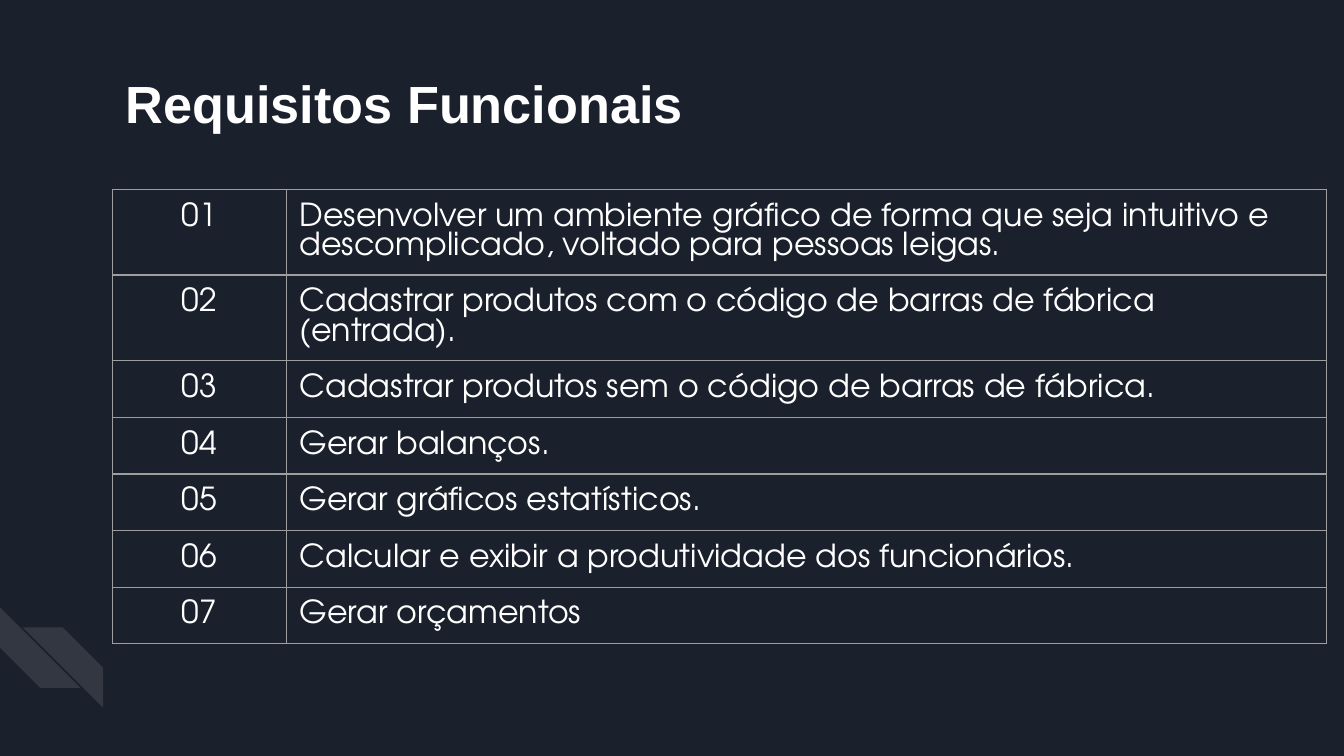
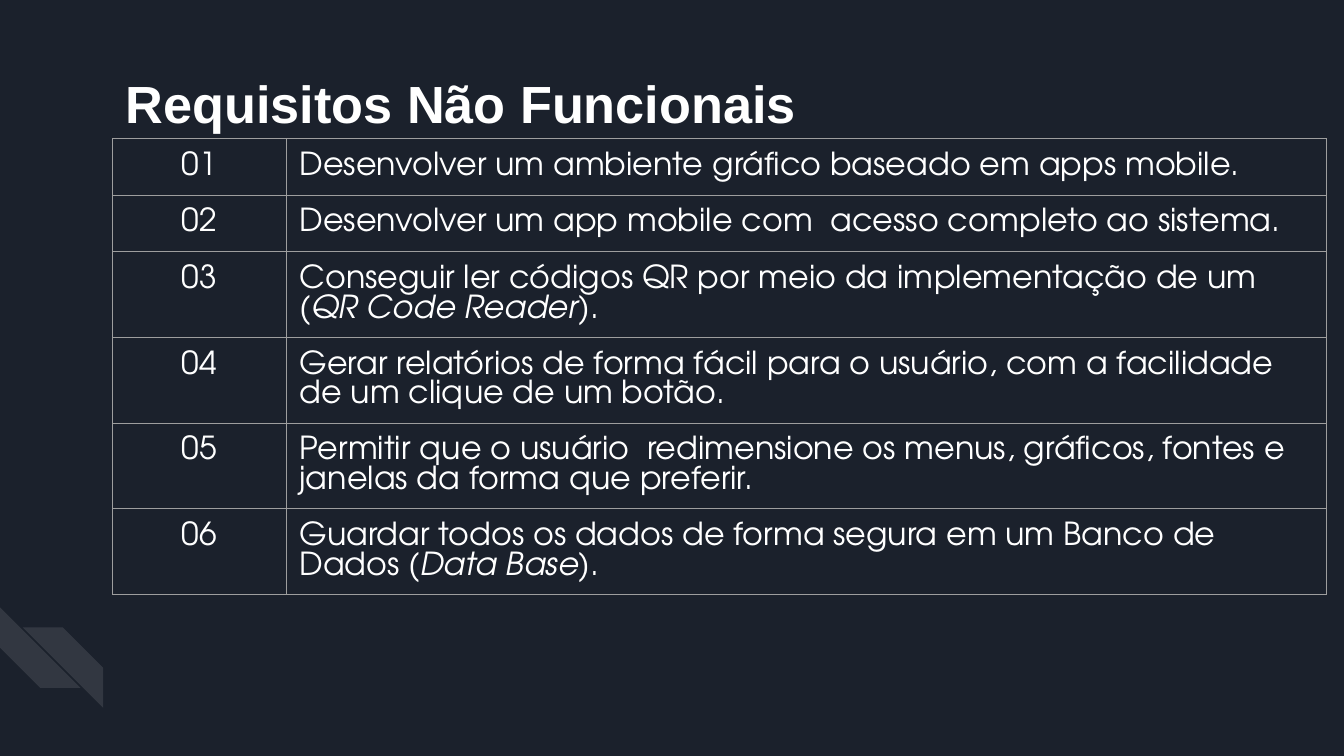
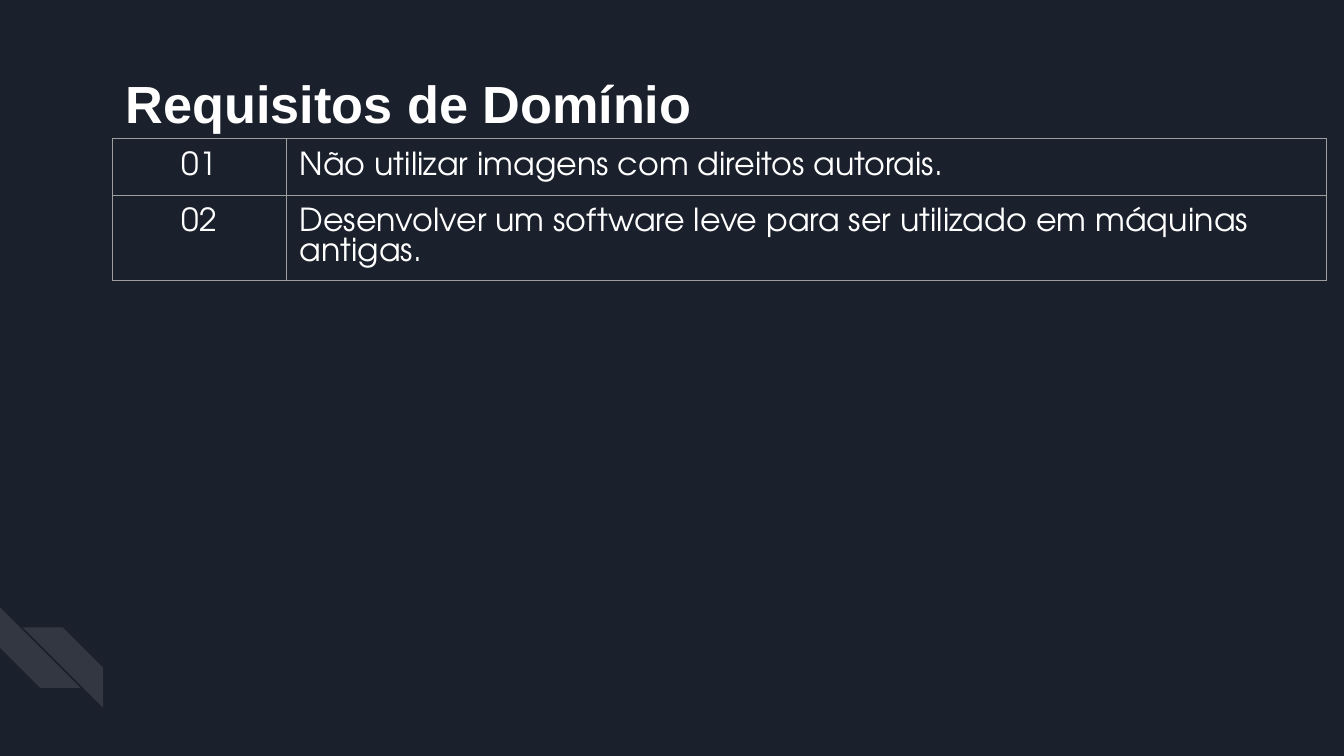
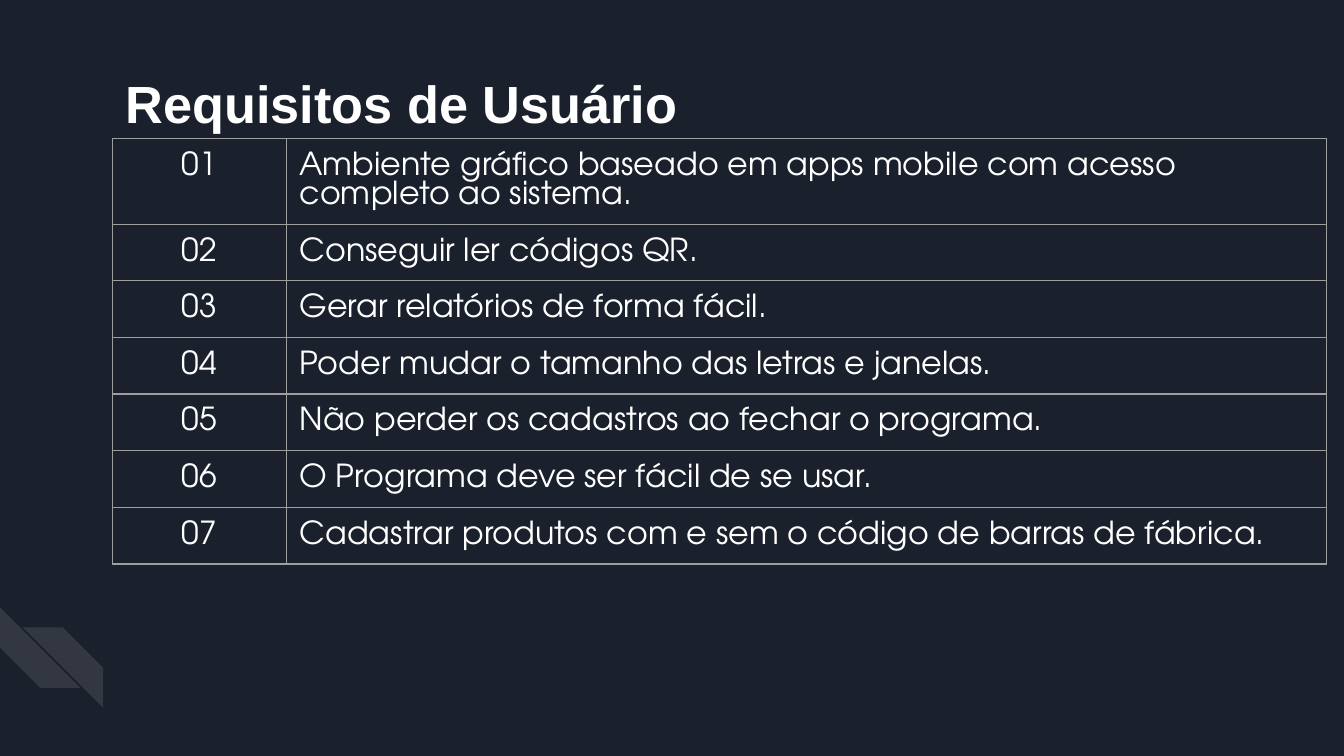
from dataclasses import dataclass

from lxml import etree
from pptx import Presentation
from pptx import util as u
from pptx.dml.color import RGBColor
from pptx.enum import shapes, text
from pptx.oxml.ns import qn

BACK, WHITE, RULE = "1B212C", "FFFFFF", "9E9E9E"
HEAD, BODY = "Arial", "TeX Gyre Adventor"
PAD = u.Cm(0.25)
LEFT, HIGH, LOW = u.Cm(2.13), u.Cm(3.58), u.Cm(2.62)
COLS = (u.Cm(3.28), u.Cm(19.66))
ROW = u.Cm(1.07)


@dataclass
class Stripe:
    left: float
    top: float
    turn: int = 0
    flip: bool = False


@dataclass
class Topic:
    title: str
    top: u.Length
    items: list


STRIPES = [Stripe(0, 11.48, turn=270), Stripe(0.43, 11.86, flip=True)]

TOPICS = [
    Topic("Requisitos Funcionais", HIGH, [
        "Desenvolver um ambiente gráfico de forma que seja intuitivo e "
        "descomplicado, voltado para pessoas leigas.",
        "Cadastrar produtos com o código de barras de fábrica (entrada).",
        "Cadastrar produtos sem o código de barras de fábrica.",
        "Gerar balanços.",
        "Gerar gráficos estatísticos.",
        "Calcular e exibir a produtividade dos funcionários.",
        "Gerar orçamentos",
    ]),
    Topic("Requisitos Não Funcionais", LOW, [
        "Desenvolver um ambiente gráfico baseado em apps mobile.",
        "Desenvolver um app mobile com  acesso completo ao sistema.",
        "Conseguir ler códigos QR por meio da implementação de um "
        "*(QR Code Reader)*.",
        "Gerar relatórios de forma fácil para o usuário, com a facilidade "
        "de um clique de um botão.",
        "Permitir que o usuário  redimensione os menus, gráficos, fontes e "
        "janelas da forma que preferir.",
        "Guardar todos os dados de forma segura em um Banco de Dados "
        "*(Data Base)*.",
    ]),
    Topic("Requisitos de Domínio", LOW, [
        "Não utilizar imagens com direitos autorais.",
        "Desenvolver um software leve para ser utilizado em máquinas antigas.",
    ]),
    Topic("Requisitos de Usuário", LOW, [
        "Ambiente gráfico baseado em apps mobile com acesso completo ao "
        "sistema.",
        "Conseguir ler códigos QR.",
        "Gerar relatórios de forma fácil.",
        "Poder mudar o tamanho das letras e janelas.",
        "Não perder os cadastros ao fechar o programa.",
        "O Programa deve ser fácil de se usar.",
        "Cadastrar produtos com e sem o código de barras de fábrica.",
    ]),
]


def paint(fill, tint: str) -> None:
    fill.solid()
    fill.fore_color.rgb = RGBColor.from_string(tint)


def style(para, face: str, size: float, bold: bool = False) -> None:
    font = para.font
    font.name, font.size, font.bold = face, u.Pt(size), bold
    font.color.rgb = RGBColor.from_string(WHITE)


def pad(box) -> None:
    box.margin_left = box.margin_right = PAD
    box.margin_top = box.margin_bottom = PAD


def draw_stripe(slide, layout, stripe: Stripe) -> None:
    side = u.Cm(1.52)
    shape = slide.shapes.add_shape(
        shapes.MSO_SHAPE.DIAGONAL_STRIPE,
        u.Cm(stripe.left), u.Cm(stripe.top), side, side)
    shape.shadow.inherit = False
    shape.rotation = stripe.turn
    paint(shape.fill, WHITE)
    shape.line.fill.background()
    tint = shape.element.spPr.find(".//" + qn("a:srgbClr"))
    etree.SubElement(tint, qn("a:alpha"), val="10000")
    if stripe.flip:
        shape.element.spPr.find(qn("a:xfrm")).set("flipH", "1")
    layout.shapes.element.append(shape.element)


def set_layout(layout) -> None:
    paint(layout.background.fill, BACK)
    for hold in list(layout.placeholders):
        if hold.placeholder_format.idx:
            hold.element.getparent().remove(hold.element)
    title = layout.placeholders[0]
    title.left, title.top = LEFT, u.Cm(1.09)
    title.width, title.height = u.Cm(19.56), u.Cm(1.52)


def draw_title(slide, words: str) -> None:
    frame = slide.shapes.title.text_frame
    frame.text = words
    frame.auto_size = text.MSO_AUTO_SIZE.NONE
    frame.vertical_anchor = text.MSO_ANCHOR.TOP
    pad(frame)
    para = frame.paragraphs[0]
    para.alignment = text.PP_ALIGN.LEFT
    style(para, HEAD, 28, True)


def add_rules(cell) -> None:
    props = cell._tc.get_or_add_tcPr()
    for spot, side in enumerate(("lnL", "lnR", "lnT", "lnB")):
        line = etree.Element(qn("a:" + side), w=str(u.Pt(0.75)))
        fill = etree.SubElement(line, qn("a:solidFill"))
        etree.SubElement(fill, qn("a:srgbClr"), val=RULE)
        props.insert(spot, line)


def fill_cell(cell, words: str, align) -> None:
    pad(cell)
    cell.fill.background()
    add_rules(cell)
    para = cell.text_frame.paragraphs[0]
    para.alignment = align
    style(para, BODY, 17)
    for spot, part in enumerate(words.split("*")):
        run = para.add_run()
        run.text = part
        if spot % 2:
            run.font.italic = True


def draw_table(slide, topic: Topic) -> None:
    count = len(topic.items)
    table = slide.shapes.add_table(
        count, 2, LEFT, topic.top, sum(COLS), ROW * count).table
    table.first_row = table.horz_banding = False
    for col, width in zip(table.columns, COLS):
        col.width = width
    for row, item in enumerate(topic.items):
        fill_cell(table.cell(row, 0), f"{row + 1:02}", text.PP_ALIGN.CENTER)
        fill_cell(table.cell(row, 1), item, text.PP_ALIGN.LEFT)


def main() -> None:
    deck = Presentation()
    deck.slide_width, deck.slide_height = u.Cm(25.4), u.Cm(14.29)
    layout = deck.slide_layouts[5]
    set_layout(layout)
    for spot, topic in enumerate(TOPICS):
        slide = deck.slides.add_slide(layout)
        if spot == 0:
            for stripe in STRIPES:
                draw_stripe(slide, layout, stripe)
        draw_title(slide, topic.title)
        draw_table(slide, topic)
    deck.save("out.pptx")


if __name__ == "__main__":
    main()
